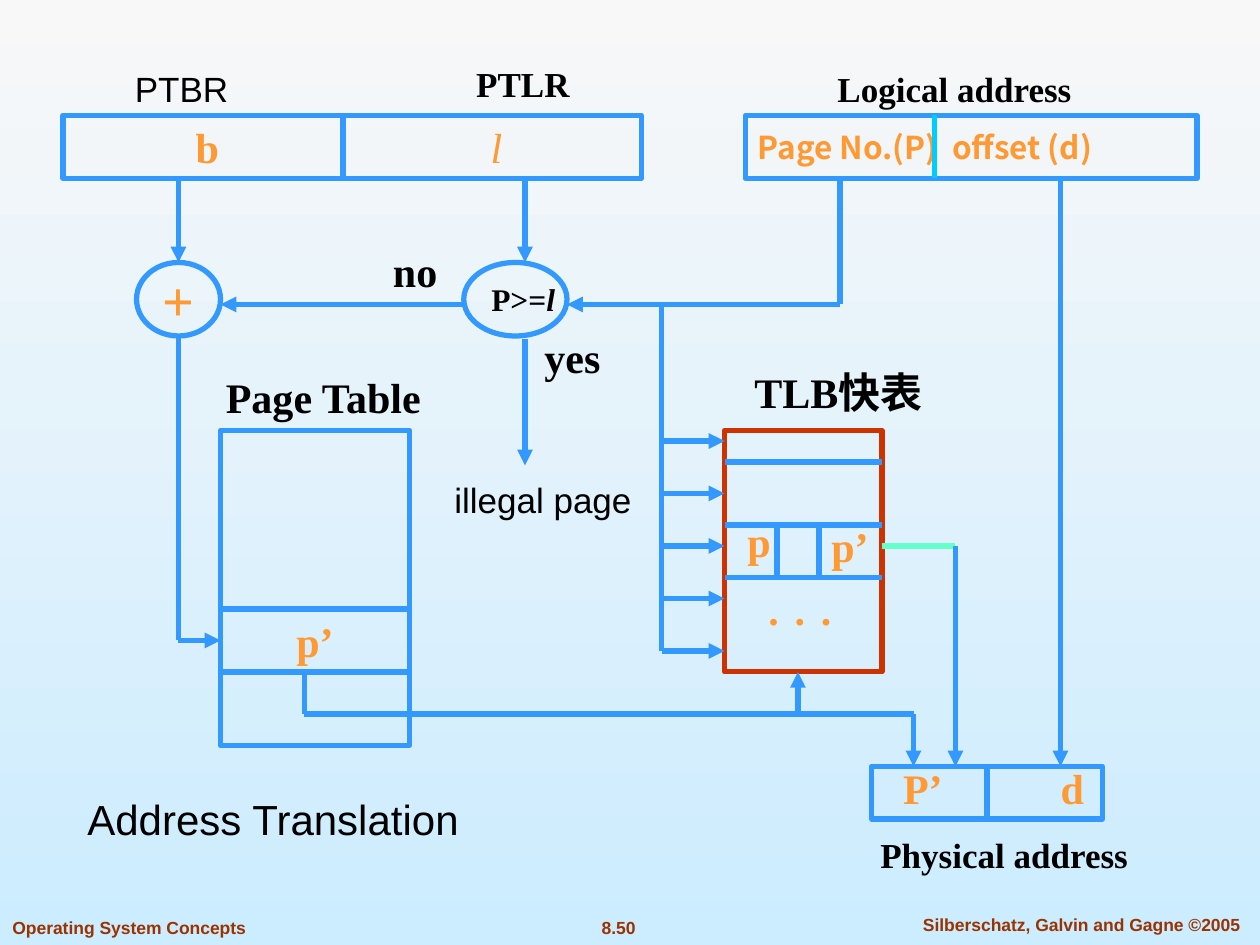
from pptx import Presentation
from pptx.dml.color import RGBColor
from pptx.enum.shapes import MSO_CONNECTOR as Connector, MSO_SHAPE as Shape
from pptx.enum.text import MSO_ANCHOR as Anchor, MSO_AUTO_SIZE as AutoSize, PP_ALIGN as Align
from pptx.oxml.ns import qn
from pptx.util import Pt
from lxml.etree import SubElement

SERIF, SANS, CJK = "Times New Roman", "Arial", "Noto Sans CJK SC"
BLUE, ORANGE, BLACK, BROWN = "3399FF", "FF9933", "000000", "993300"
RED, CYAN, MINT = "CC3300", "00CCFF", "66FFCC"


def color(value):
    return RGBColor.from_string(value)


def add_run(paragraph, text, size, fill, font=SERIF, bold=True, italic=False):
    run = paragraph.add_run()
    run.text = text
    run.font.name, run.font.size = font, Pt(size)
    run.font.bold, run.font.italic = bold, italic
    run.font.color.rgb = color(fill)


def add_label(slide, box, text, size, fill=BLACK, font=SERIF, bold=True,
              align=Align.LEFT, anchor=Anchor.TOP):
    shape = slide.shapes.add_textbox(*map(Pt, box))
    frame = shape.text_frame
    frame.word_wrap = False
    frame.auto_size = AutoSize.SHAPE_TO_FIT_TEXT if anchor == Anchor.TOP else AutoSize.NONE
    frame.vertical_anchor = anchor
    frame.paragraphs[0].alignment = align
    add_run(frame.paragraphs[0], text, size, fill, font, bold)


def add_outline(slide, box, kind=Shape.RECTANGLE, line=BLUE, align=Align.CENTER):
    """Draw an unfilled shape; return it with its paragraph."""
    shape = slide.shapes.add_shape(kind, *map(Pt, box))
    shape.shadow.inherit = False
    shape.fill.background()
    shape.line.color.rgb = color(line)
    shape.line.width = Pt(3)
    frame = shape.text_frame
    frame.word_wrap = False
    frame.vertical_anchor = Anchor.MIDDLE
    frame.paragraphs[0].alignment = align
    return shape, frame.paragraphs[0]


def add_line(slide, x1, y1, x2, y2, arrow=False, line=BLUE):
    connector = slide.shapes.add_connector(Connector.STRAIGHT, *map(Pt, (x1, y1, x2, y2)))
    connector.line.color.rgb = color(line)
    connector.line.width = Pt(3)
    properties = connector.element.spPr
    if arrow:
        SubElement(properties.find(qn("a:ln")), qn("a:tailEnd"), type="triangle")
    SubElement(properties, qn("a:effectLst"))
    return connector


def add_background(slide):
    fill = slide.background.fill
    fill.gradient()
    fill.gradient_angle = 270
    for stop, value in zip(fill.gradient_stops, ("F8F8F8", "CCECFF")):
        stop.color.rgb = color(value)


def add_title(slide, box):
    title = slide.shapes.title
    title.left, title.top, title.width, title.height = map(Pt, box)
    frame = title.text_frame
    frame.word_wrap, frame.auto_size = True, AutoSize.NONE
    frame.vertical_anchor = Anchor.TOP
    frame.paragraphs[0].alignment = Align.CENTER
    add_run(frame.paragraphs[0], "Address Translation", 24, BLACK, SANS, bold=False)


def add_registers(slide, box):
    left, top, width, height = box
    split = 160
    # Base register, then length register
    cells = ((left, split, "b", False), (left + split, width - split, "l", True))
    for x, cell_width, symbol, italic in cells:
        shape, paragraph = add_outline(slide, (x, top, cell_width, height))
        shape.text_frame.margin_left = Pt(12)
        add_run(paragraph, symbol, 24, ORANGE, bold=not italic, italic=italic)
    add_label(slide, (left + 34, top - 31, 68, 32), "PTBR", 20, font=SANS, bold=False)
    add_label(slide, (left + 229, top - 34, 68, 32), "PTLR", 20)


def add_bounds_check(slide, box):
    left, top, width, height = box
    # Adder
    _, paragraph = add_outline(slide, (left, top, 48, height), Shape.OVAL)
    add_run(paragraph, "+", 32, ORANGE)
    # Comparison
    test_left = left + width - 59
    _, paragraph = add_outline(slide, (test_left, top, 59, height), Shape.OVAL, align=Align.LEFT)
    add_run(paragraph, "P>=", 18, BLACK)
    add_run(paragraph, "l", 18, BLACK, italic=True)
    # Outcomes
    add_line(slide, test_left, top + 24, left + 48, top + 24, arrow=True)
    add_line(slide, left + 222, top + 44, left + 222, top + 116, arrow=True)
    add_label(slide, (left + 139.5, top - 13, 42, 36), "no", 24)
    add_label(slide, (left + 226, top + 36, 54, 36), "yes", 24)
    add_label(slide, (left + 174.5, top + 120, 118, 32), "illegal page", 20,
              font=SANS, bold=False)


def add_page_table(slide, box):
    left, top, width, _ = box
    add_outline(slide, box)
    for row in (102, 138):
        add_line(slide, left, top + row, left + width, top + row)
    add_label(slide, (left, top + 102, width, 36), "p’", 24, ORANGE,
              align=Align.CENTER, anchor=Anchor.MIDDLE)
    add_label(slide, (left - 4, top - 37, 128, 36), "Page Table", 24)


def add_tlb(slide, box):
    left, top, width, _ = box
    add_outline(slide, box, line=RED)
    for row in (18, 54, 84):
        add_line(slide, left, top + row, left + width, top + row)
    for column in (30, 54):
        add_line(slide, left + column, top + 54, left + column, top + 84)
    add_label(slide, (left + 6, top + 45, 30, 36), "p", 24, ORANGE)
    add_label(slide, (left + 54, top + 48, 42, 36), "p’", 24, ORANGE)
    for dot in range(3):
        add_label(slide, (left + 18 + 15 * dot, top + 84, 22, 36), ".", 24, ORANGE)
    add_label(slide, (left + 10, top - 40, 116, 36), "TLB快表", 24)
    # Parallel search of every entry
    trunk = left - 36
    add_line(slide, trunk, top - 72, trunk, top + 126)
    for entry in range(5):
        row = top + 6 + 30 * entry
        add_line(slide, trunk, row, left, row, arrow=True)


def add_logical_address(slide, box):
    left, top, _, height = box
    _, paragraph = add_outline(slide, box, align=Align.LEFT)
    add_run(paragraph, "Page No.(P)", 18, ORANGE, CJK)
    add_label(slide, (left + 111, top, 96, height), "offset (d)", 18, ORANGE, CJK,
              anchor=Anchor.MIDDLE)
    add_line(slide, left + 108, top, left + 108, top + height, line=CYAN)
    add_label(slide, (left + 45.5, top - 31, 150, 32), "Logical address", 20)


def add_physical_address(slide, box):
    left, top, width, height = box
    outline, _ = add_outline(slide, box)
    middle = left + width / 2
    divider = add_line(slide, middle, top, middle, top + height)
    divider.begin_connect(outline, 0)
    divider.end_connect(outline, 2)
    add_label(slide, (left + 11, top - 6, 42, 36), "P’", 24, ORANGE)
    add_label(slide, (left + 101, top - 6, 30, 36), "d", 24, ORANGE)
    add_label(slide, (left - 2, top + 35, 158, 32), "Physical address", 20)


def add_wires(slide):
    """Join the regions; each route ends in an arrow."""
    routes = (
        [(102, 102), (102, 150)],                          # base to adder
        [(300, 102), (300, 150)],                          # length to comparison
        [(102, 192), (102, 366), (126, 366)],              # adder to page table
        [(480, 102), (480, 174), (324, 174)],              # page number to comparison
        [(606, 102), (606, 438)],                          # offset to physical address
        [(174, 384), (174, 408), (522, 408), (522, 438)],  # frame to physical address
        [(456, 408), (456, 384)],                          # frame to TLB
        [(546, 312), (546, 438)],                          # TLB hit to physical address
    )
    add_line(slide, 504, 312, 546, 312, line=MINT)
    for route in routes:
        for start, end in zip(route, route[1:]):
            add_line(slide, *start, *end, arrow=end == route[-1])


def add_footer(slide, box):
    left, top, width, height = box
    parts = (
        ("Operating System Concepts", left, 0, 150, Align.LEFT),
        ("8.50", left + 318, 0, 71, Align.CENTER),
        ("Silberschatz, Galvin and Gagne ©2005", left + width - 214, -2, 214, Align.CENTER),
    )
    for text, x, shift, part_width, align in parts:
        add_label(slide, (x, top + shift, part_width, height), text, 10, BROWN, SANS, align=align)


def main():
    presentation = Presentation()
    presentation.slide_width, presentation.slide_height = Pt(720), Pt(540)
    slide = presentation.slides.add_slide(presentation.slide_layouts[5])
    add_background(slide)
    add_footer(slide, (0, 520.5, 725, 19.5))
    add_title(slide, (36, 450, 240, 60))
    add_page_table(slide, (126, 246, 108, 180))
    add_registers(slide, (36, 66, 330.5, 36))
    add_bounds_check(slide, (78, 150, 246, 42))
    add_tlb(slide, (414, 246, 90, 138))
    add_logical_address(slide, (426, 66, 258, 36))
    add_physical_address(slide, (498, 438, 132, 30))
    add_wires(slide)
    presentation.save("out.pptx")


if __name__ == "__main__":
    main()
